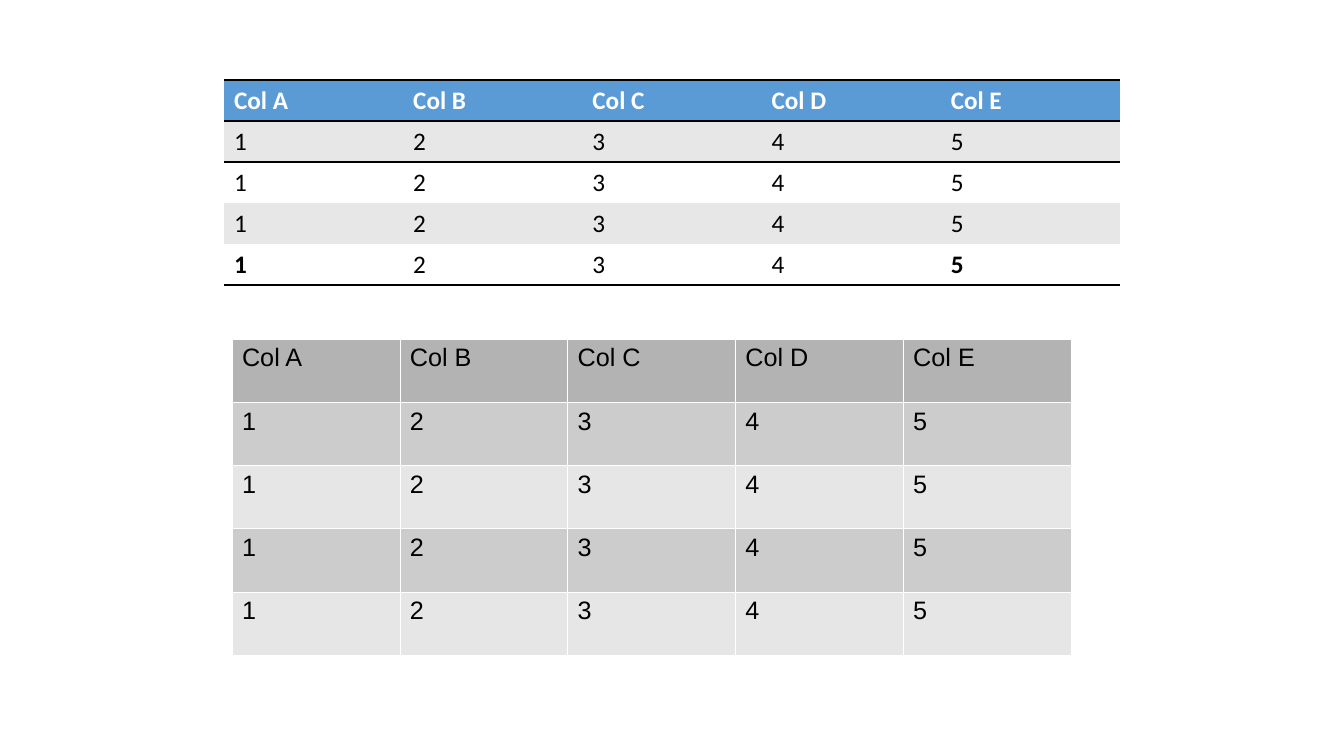
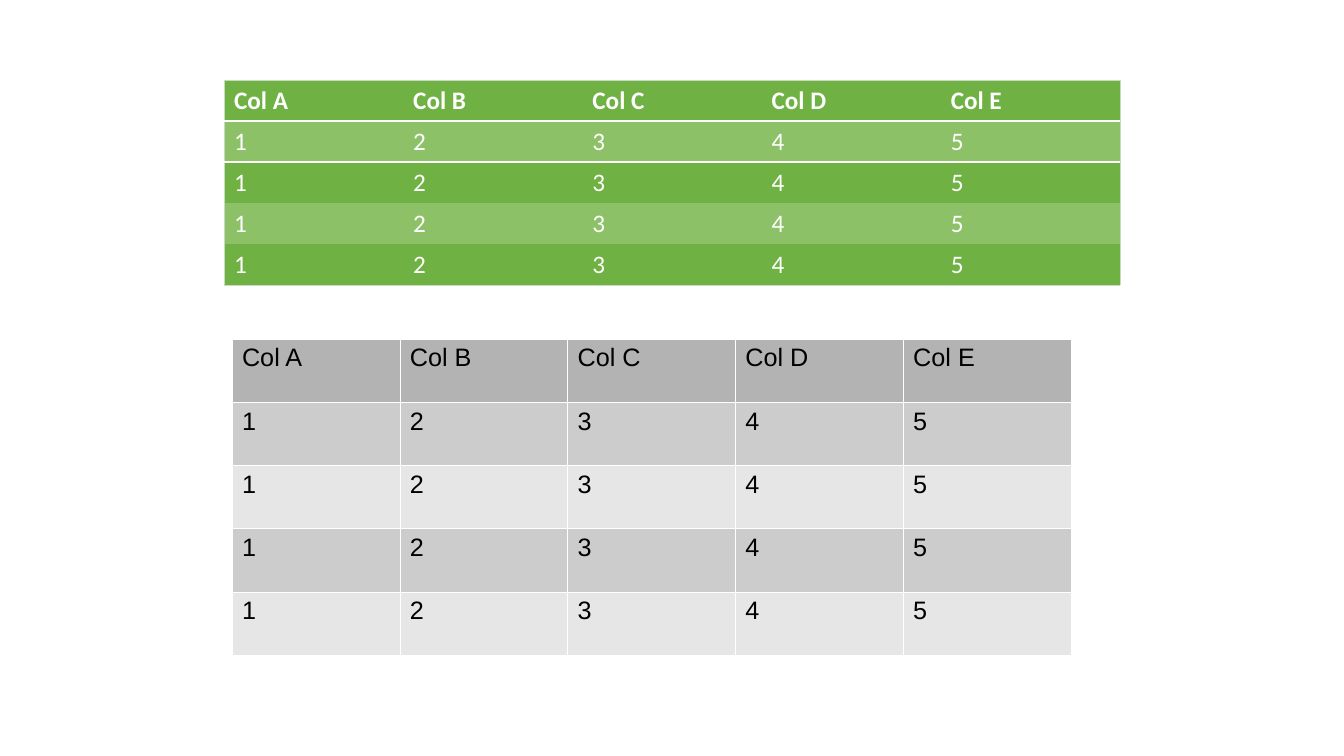
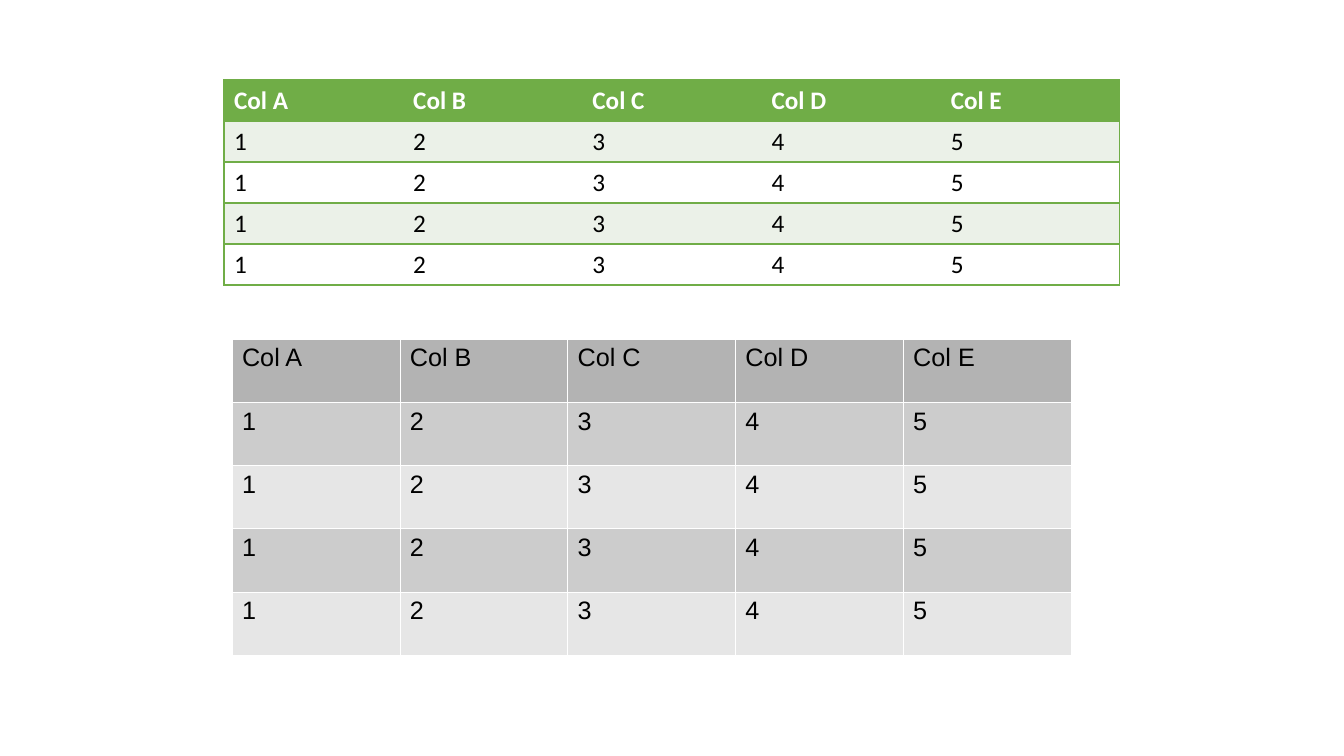
from dataclasses import dataclass

from lxml import etree
from pptx import Presentation
from pptx.dml.color import RGBColor
from pptx.enum.text import MSO_ANCHOR
from pptx.oxml.ns import qn
from pptx.slide import Slide
from pptx.table import _Cell
from pptx.util import Emu, Pt

MIDDLE = MSO_ANCHOR.MIDDLE
TOP = MSO_ANCHOR.TOP
BLANK_LAYOUT = 6
EMU_PER_PX = 914400 / 100.8
PAGE_WIDTH, PAGE_HEIGHT = 1344, 756
PLAIN_TABLE_STYLE = "{2D5ABB26-0587-4C30-8999-92F81FD0307C}"

WHITE = "FFFFFF"
BLACK = "000000"
LIGHT_GREY = "E7E7E7"
BLUE = "5B9BD5"
GREEN = "70AD47"
PALE_GREEN = "EBF1E8"
DEEP_GREEN = "6FB142"
SOFT_GREEN = "8CC168"
MIST_GREEN = "C8DBC0"

HEADER = tuple(f"Col {letter}" for letter in "ABCDE")
VALUES = tuple("12345")
CONTENT = (HEADER, *[VALUES] * 4)
ROW_COUNT, COLUMN_COUNT = len(CONTENT), len(HEADER)


@dataclass(frozen=True)
class Frame:
    left: int
    top: int
    width: int
    height: int
    font: str
    anchor: MSO_ANCHOR


@dataclass(frozen=True)
class Rule:
    color: str
    points: float


@dataclass(frozen=True)
class Look:
    header_fill: str
    band_fills: tuple[str, str]
    header_text: str
    body_text: str
    header_bold: bool = True
    bold_cells: frozenset[tuple[int, int]] = frozenset()
    ends: Rule | None = None
    sides: Rule | None = None
    header_rule: Rule | None = None
    row_rule: Rule | None = None
    column_rule: Rule | None = None


UPPER = Frame(224, 80, 896, 205, "Calibri", MIDDLE)
LOWER = Frame(232, 339, 839, 316, "Arial", TOP)

HEAVY_BLACK = Rule(BLACK, 1.98)
MIST = Rule(MIST_GREEN, 0.5)
GREEN_LINE = Rule(GREEN, 0.96)
HAIRLINE = Rule(WHITE, 0.06)

BLUE_LOOK = Look(
    BLUE, (LIGHT_GREY, WHITE), WHITE, BLACK,
    bold_cells=frozenset({(4, 0), (4, 4)}),
    ends=HEAVY_BLACK, header_rule=HEAVY_BLACK,
)
SOLID_GREEN_LOOK = Look(
    DEEP_GREEN, (SOFT_GREEN, DEEP_GREEN), WHITE, WHITE,
    ends=MIST, sides=MIST, header_rule=Rule(WHITE, 1.47),
)
LINED_GREEN_LOOK = Look(
    GREEN, (PALE_GREEN, WHITE), WHITE, BLACK,
    ends=GREEN_LINE, sides=GREEN_LINE,
    header_rule=GREEN_LINE, row_rule=GREEN_LINE,
)
GREY_LOOK = Look(
    "B3B3B3", ("CCCCCC", "E6E6E6"), BLACK, BLACK, header_bold=False,
    ends=HAIRLINE, sides=HAIRLINE, header_rule=HAIRLINE,
    row_rule=HAIRLINE, column_rule=HAIRLINE,
)


def px(length: int) -> Emu:
    return Emu(round(length * EMU_PER_PX))


def rgb(color: str) -> RGBColor:
    return RGBColor.from_string(color)


def horizontal_rule(look: Look, boundary: int) -> Rule | None:
    if boundary in (0, ROW_COUNT):
        return look.ends
    return look.header_rule if boundary == 1 else look.row_rule


def vertical_rule(look: Look, boundary: int) -> Rule | None:
    return look.sides if boundary in (0, COLUMN_COUNT) else look.column_rule


def draw_borders(cell: _Cell, look: Look, row: int, column: int) -> None:
    edges = {
        "a:lnL": vertical_rule(look, column),
        "a:lnR": vertical_rule(look, column + 1),
        "a:lnT": horizontal_rule(look, row),
        "a:lnB": horizontal_rule(look, row + 1),
    }
    properties = cell._tc.get_or_add_tcPr()
    drawn = [(tag, rule) for tag, rule in edges.items() if rule]
    for position, (tag, rule) in enumerate(drawn):
        line = etree.Element(qn(tag), w=str(Pt(rule.points)))
        fill = etree.SubElement(line, qn("a:solidFill"))
        etree.SubElement(fill, qn("a:srgbClr"), val=rule.color)
        properties.insert(position, line)


def fill_cell(cell: _Cell, text: str, frame: Frame, look: Look, row: int, column: int) -> None:
    is_header = row == 0
    cell.vertical_anchor = frame.anchor
    cell.fill.solid()
    cell.fill.fore_color.rgb = rgb(look.header_fill if is_header else look.band_fills[(row - 1) % 2])
    span = cell.text_frame.paragraphs[0].add_run()
    span.text = text
    formats = {
        "name": frame.font,
        "size": Pt(18),
        "bold": (is_header and look.header_bold) or (row, column) in look.bold_cells,
    }
    for name, value in formats.items():
        setattr(span.font, name, value)
    span.font.color.rgb = rgb(look.header_text if is_header else look.body_text)
    draw_borders(cell, look, row, column)


def draw_table(page: Slide, frame: Frame, look: Look) -> None:
    box = page.shapes.add_table(
        ROW_COUNT, COLUMN_COUNT,
        px(frame.left), px(frame.top), px(frame.width), px(frame.height),
    )
    box.element.find(".//" + qn("a:tableStyleId")).text = PLAIN_TABLE_STYLE
    table = box.table
    for flag in ("first_row", "horz_banding"):
        setattr(table, flag, False)
    for row, texts in enumerate(CONTENT):
        for column, text in enumerate(texts):
            fill_cell(table.cell(row, column), text, frame, look, row, column)


def main() -> None:
    deck = Presentation()
    deck.slide_width, deck.slide_height = px(PAGE_WIDTH), px(PAGE_HEIGHT)
    for look in (BLUE_LOOK, SOLID_GREEN_LOOK, LINED_GREEN_LOOK):
        page = deck.slides.add_slide(deck.slide_layouts[BLANK_LAYOUT])
        draw_table(page, UPPER, look)
        draw_table(page, LOWER, GREY_LOOK)
    deck.save("out.pptx")


if __name__ == "__main__":
    main()
